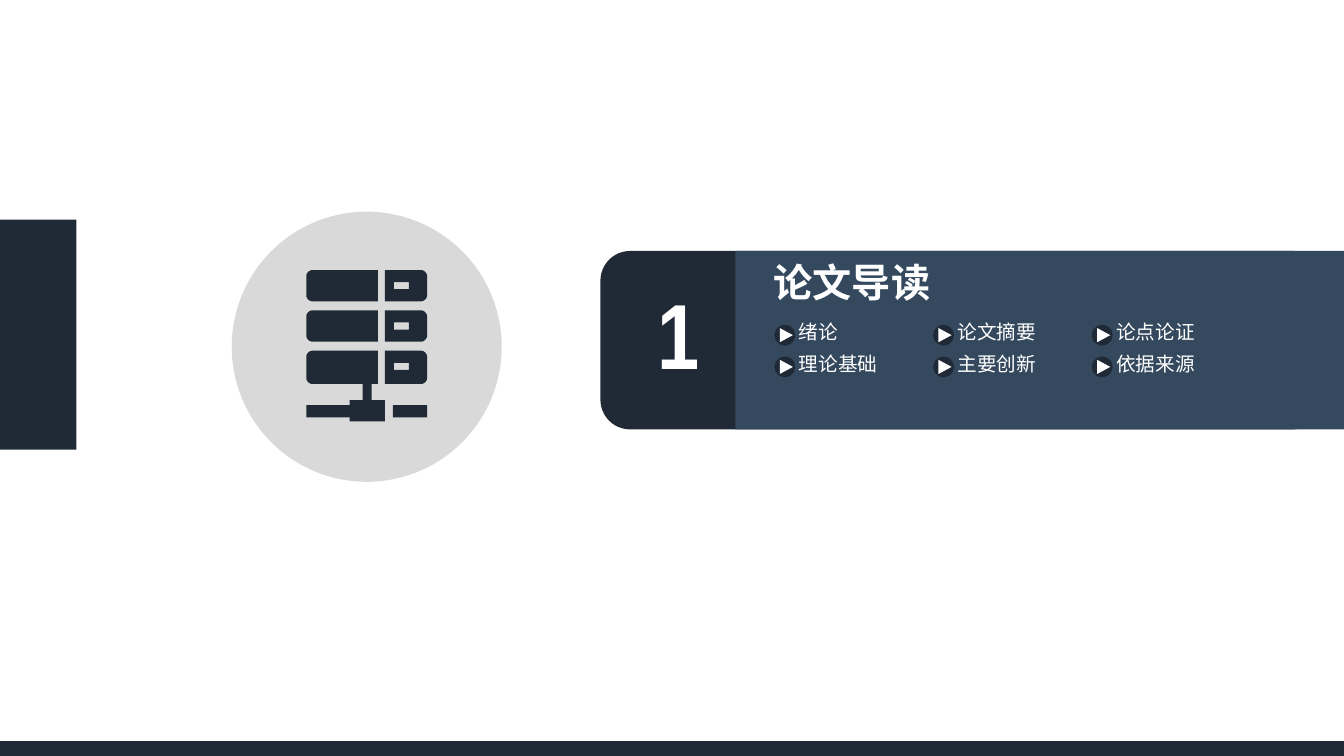
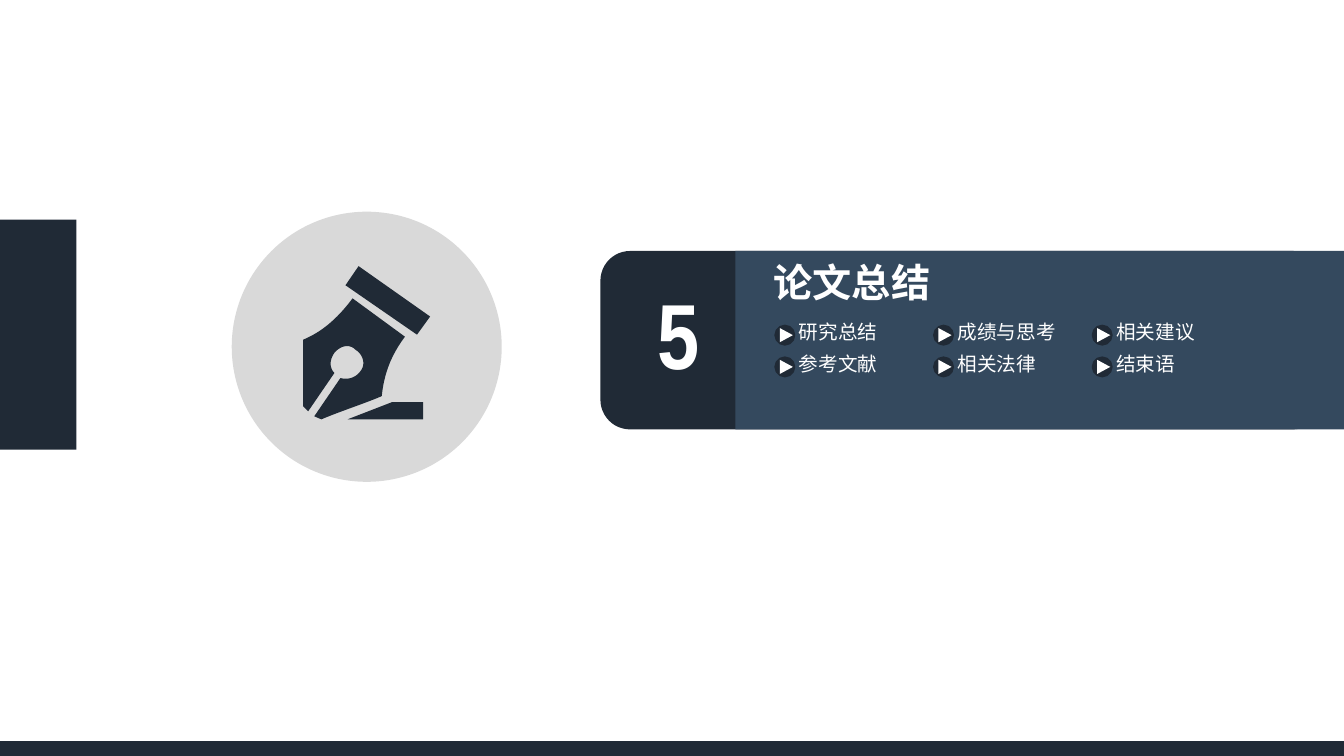
from dataclasses import dataclass

from lxml import etree
from pptx import Presentation
from pptx.dml.color import RGBColor
from pptx.enum import shapes, text
from pptx.oxml import ns
from pptx.util import Emu, Pt

# Grid of square cells: 75 rows high, 133.4 columns wide
ROWS, COLUMNS = 75, 133.4
CELL = 91440
FORMS = shapes.MSO_SHAPE


@dataclass(frozen=True)
class Theme:
    navy: str = "202A36"
    slate: str = "34495E"
    grey: str = "D9D9D9"
    white: str = "FFFFFF"
    number_font: str = "Arial Narrow"
    text_font: str = "Noto Sans CJK SC"
    number_size: int = 66
    title_size: int = 28
    item_size: int = 14
    line_width: int = 2


def cells(*counts):
    return [Emu(round(count * CELL)) for count in counts]


def trace(steps, samples=12):
    """Turn points (x, y) and cubic curves (six numbers) into points."""
    points = []
    for step in steps:
        if len(step) == 2:
            points.append(step)
            continue
        controls = [points[-1], step[0:2], step[2:4], step[4:6]]
        for index in range(1, samples + 1):
            t = index / samples
            weights = ((1 - t) ** 3, 3 * t * (1 - t) ** 2,
                       3 * t ** 2 * (1 - t), t ** 3)
            points.append(tuple(
                sum(weight * control[axis]
                    for weight, control in zip(weights, controls))
                for axis in (0, 1)))
    return points


class Deck:
    def __init__(self, theme):
        self.theme = theme
        self.deck = Presentation()
        self.deck.slide_width, self.deck.slide_height = cells(COLUMNS, ROWS)
        self.page = None

    def add_page(self):
        self.page = self.deck.slides.add_slide(self.deck.slide_layouts[6])

    def paint(self, shape, fill, outlined=False):
        shape.shadow.inherit = False
        shape.fill.solid()
        shape.fill.fore_color.rgb = RGBColor.from_string(fill)
        if outlined:
            shape.line.color.rgb = RGBColor.from_string(fill)
            shape.line.width = Pt(self.theme.line_width)
        else:
            shape.line.fill.background()

    def shape(self, form, left, top, width, height, fill,
              outlined=False, rotation=0):
        shape = self.page.shapes.add_shape(
            form, *cells(left, top, width, height))
        shape.rotation = rotation
        self.paint(shape, fill, outlined)

    def outline(self, contours, fill):
        """Draw closed contours as one freeform; inner contours are holes."""
        builder = None
        for contour in contours:
            start, *others = [cells(*point) for point in trace(contour)]
            if builder is None:
                builder = self.page.shapes.build_freeform(*start, scale=1.0)
            else:
                builder.move_to(*start)
            builder.add_line_segments(others, close=True)
        self.paint(builder.convert_to_shape(), fill)

    def label(self, words, left, top, width, height, size, font,
              bold=False, margins=(0, 0), align=text.PP_ALIGN.LEFT,
              spacing=0.9):
        box = self.page.shapes.add_textbox(*cells(left, top, width, height))
        frame = box.text_frame
        frame.word_wrap = True
        frame.margin_left, frame.margin_top = cells(*margins)
        frame.margin_right, frame.margin_bottom = cells(*margins)
        frame.text = words
        para = frame.paragraphs[0]
        para.alignment = align
        para.line_spacing = spacing
        span = para.runs[0]
        span.font.name = font
        span.font.size = Pt(size)
        span.font.bold = bold
        span.font.color.rgb = RGBColor.from_string(self.theme.white)
        # East Asian text takes its own font element
        properties = span.font._element
        etree.SubElement(properties, ns.qn("a:ea")).set("typeface", font)

    def item(self, words, left, top):
        theme = self.theme
        self.label(words, left + 2.3, top - 0.35, 13.4, 2.4,
                   theme.item_size, theme.text_font)
        self.shape(FORMS.OVAL, left, top, 1.8, 1.8, theme.navy, outlined=True)
        self.shape(FORMS.ISOSCELES_TRIANGLE, left + 0.35, top + 0.25,
                   1.4, 1.3, theme.white, rotation=90)

    def section(self, number, title, items, draw_icon):
        theme = self.theme
        self.add_page()

        # Left block, icon disc and bottom band
        self.shape(FORMS.OVAL, 23, 21, 26.8, 26.8, theme.grey)
        self.shape(FORMS.RECTANGLE, 0, 21.8, 7.6, 22.8, theme.navy)
        self.shape(FORMS.RECTANGLE, 0, ROWS - 1.3, COLUMNS, 1.3,
                   theme.navy, outlined=True)
        draw_icon(self)

        # Banner with number and title
        self.shape(FORMS.ROUNDED_RECTANGLE, 59.6, 24.9, 71.7, 17.7, theme.navy)
        self.shape(FORMS.RECTANGLE, 73, 24.9, COLUMNS - 73, 17.7, theme.slate)
        self.label(number, 62.4, 27, 10, 12.1, theme.number_size,
                   theme.number_font, bold=True, margins=(1, 0.5),
                   align=text.PP_ALIGN.CENTER, spacing=1.0)
        self.label(title, 76.1, 25.7, 23, 5.5, theme.title_size,
                   theme.text_font, bold=True, margins=(0.7, 0.4))

        # Items, three to a row
        for index, words in enumerate(items):
            row, column = divmod(index, 3)
            self.item(words, 77 + 15.75 * column, 32.35 + 3.15 * row)

    def save(self):
        self.deck.save("out.pptx")


# Icons
def rack_panel(inner, outer, top, bottom, radius=0.6):
    """A panel square on its inner side and rounded on its outer side."""
    bend = radius if inner > outer else -radius
    half = radius / 2
    return [(inner, top), (inner, bottom), (outer + bend, bottom),
            (outer + bend / 2, bottom, outer, bottom - half,
             outer, bottom - radius),
            (outer, top + radius),
            (outer, top + half, outer + bend / 2, top, outer + bend, top)]


def rectangle(left, top, right, bottom):
    return [(left, top), (right, top), (right, bottom), (left, bottom)]


def draw_server(deck):
    contours = []
    for top, height in ((26.8, 3.1), (30.8, 3.1), (34.8, 3.3)):
        contours += [rack_panel(37.5, 30.4, top, top + height),
                     rack_panel(38.2, 42.4, top, top + height),
                     rectangle(39.1, top + 1.2, 40.6, top + 1.9)]
    deck.outline(contours, deck.theme.navy)
    network = [(36, 38), (36.9, 38), (36.9, 39.7), (38.2, 39.7),
               (38.2, 41.8), (34.7, 41.8), (34.7, 41.4), (30.4, 41.4),
               (30.4, 40.2), (34.7, 40.2), (34.7, 39.7), (36, 39.7)]
    deck.outline([network, rectangle(39, 40.2, 42.4, 41.4)], deck.theme.navy)


def draw_pen(deck):
    nib = [(30.6, 40.8), (30.1, 40.3), (30.1, 33.7),
           (32, 32.9, 33.5, 31.6, 35, 29.6), (40.2, 33.4),
           (38.7, 35.4, 38.1, 37.3, 37.9, 39.3),
           (36, 40.1, 33.8, 40.8, 31.9, 41.6), (31.2, 41.3), (33.8, 37.5),
           (34.5, 37.7, 35.3, 37.5, 35.8, 36.8),
           (36.3, 36.2, 36.1, 35.2, 35.3, 34.7),
           (34.6, 34, 33.7, 34.4, 33.2, 35),
           (32.7, 35.7, 32.7, 36.5, 33.2, 37)]
    stroke = [(34.5, 41.6), (42, 41.6), (42, 39.9), (38.9, 39.9)]
    collar = [(41.4, 33.2), (42.7, 31.4), (35.6, 26.4), (34.3, 28.3)]
    deck.outline([nib, stroke, collar], deck.theme.navy)


def main():
    deck = Deck(Theme())
    deck.section("1", "论文导读",
                 ["绪论", "论文摘要", "论点论证",
                  "理论基础", "主要创新", "依据来源"], draw_server)
    deck.section("5", "论文总结",
                 ["研究总结", "成绩与思考", "相关建议",
                  "参考文献", "相关法律", "结束语"], draw_pen)
    deck.save()


if __name__ == "__main__":
    main()
